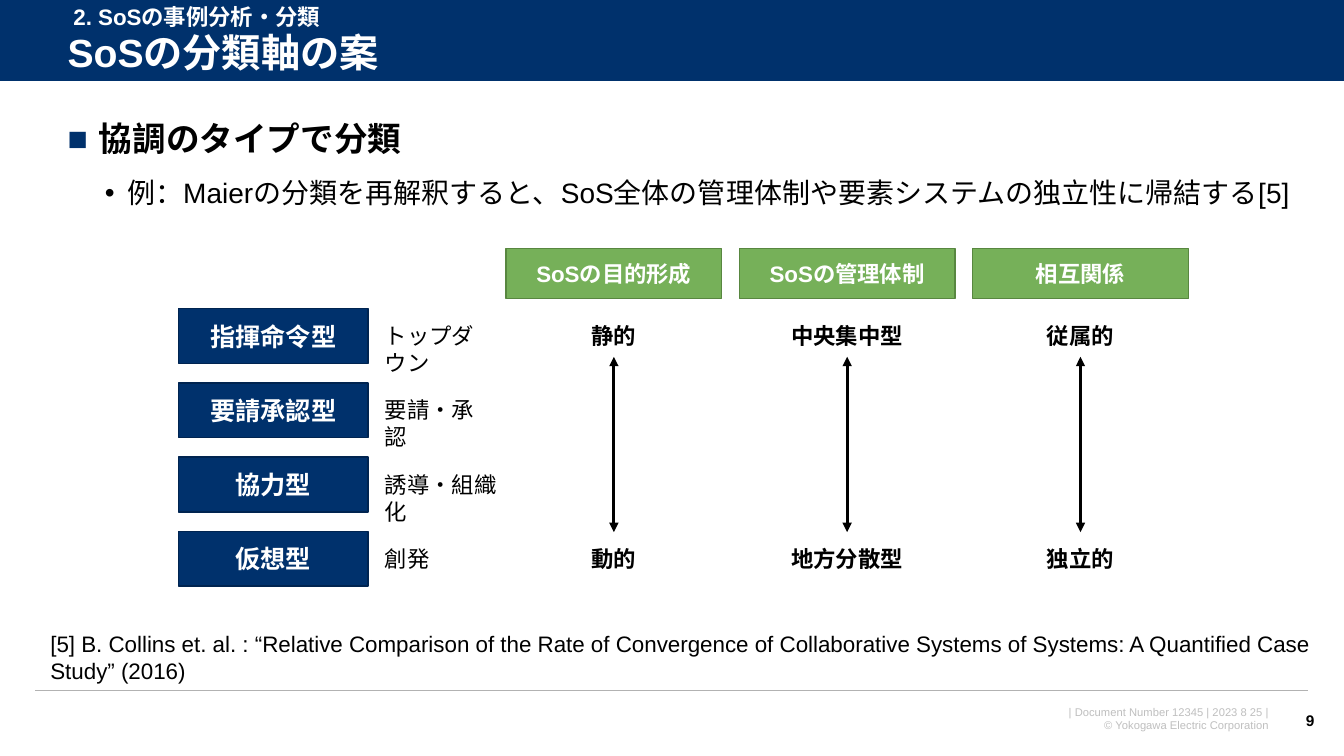
from pptx import Presentation
from pptx import util as u
from pptx.dml.color import RGBColor
from pptx.enum import shapes, text
from pptx.oxml import ns
from lxml import etree

Cm = u.Cm
NAVY, GREEN, BLACK, WHITE = "00316C", "76B059", "000000", "FFFFFF"
LEFT, MID, RIGHT = text.PP_ALIGN.LEFT, text.PP_ALIGN.CENTER, text.PP_ALIGN.RIGHT


def tint(hue):
    return RGBColor.from_string(hue)


def add(node, tag, **attrs):
    return etree.SubElement(node, ns.qn(tag), attrs)


def style(para, size, hue, bold, align=LEFT):
    para.alignment = align
    for run in para.runs:
        font = run.font
        font.name, font.size, font.bold = "Arial", u.Pt(size), bold
        font.color.rgb = tint(hue)


def place(shape, box):
    shape.left, shape.top, shape.width, shape.height = map(Cm, box)


def fill(frame, words, size, hue, bold, align, anchor):
    frame.text = words
    frame.word_wrap = True
    frame.auto_size = text.MSO_AUTO_SIZE.NONE
    frame.vertical_anchor = anchor
    for para in frame.paragraphs:
        style(para, size, hue, bold, align)


def label(slide, box, words, size=16, hue=BLACK, bold=False, align=LEFT,
          anchor=text.MSO_ANCHOR.TOP):
    item = slide.shapes.add_textbox(*map(Cm, box))
    fill(item.text_frame, words, size, hue, bold, align, anchor)
    return item


def block(slide, box, hue, edge=None, words="", size=16):
    item = slide.shapes.add_shape(shapes.MSO_SHAPE.RECTANGLE, *map(Cm, box))
    item.shadow.inherit = False
    item.fill.solid()
    item.fill.fore_color.rgb = tint(hue)
    if edge:
        item.line.color.rgb = tint(edge)
        item.line.width = u.Pt(1)
    else:
        item.line.fill.background()
    if words:
        fill(item.text_frame, words, size, WHITE, True, MID, text.MSO_ANCHOR.MIDDLE)
    return item


def rule(slide, ends, hue, width, arrow=False):
    item = slide.shapes.add_connector(shapes.MSO_CONNECTOR.STRAIGHT, *map(Cm, ends))
    item.line.color.rgb = tint(hue)
    item.line.width = u.Pt(width)
    if arrow:
        line = item.line._get_or_add_ln()
        add(line, "a:headEnd", type="triangle")
        add(line, "a:tailEnd", type="triangle")
    add(item._element.spPr, "a:effectLst")


def header(slide, box):
    left, top, width, height = box
    title = slide.shapes.title
    bar = block(slide, box, NAVY)
    title._element.addprevious(bar._element)
    rule(slide, (left, top + height, left + width, top + height), WHITE, 0.75)
    place(title, (left + 1.45, top + 0.66, 31.67, 1.45))
    fill(title.text_frame, "SoSの分類軸の案", 28, WHITE, True, LEFT, text.MSO_ANCHOR.MIDDLE)
    title.text_frame.paragraphs[0].line_spacing = 0.9
    label(slide, (left + 1.6, top - 0.05, 10.24, 0.94), "2. SoSの事例分析・分類",
          hue=WHITE, bold=True)


def bullet(para, mark, hue, indent, hang):
    props = para._p.get_or_add_pPr()
    props.set("marL", str(Cm(indent)))
    props.set("indent", str(-Cm(hang)))
    add(add(props, "a:buClr"), "a:srgbClr", val=hue)
    add(props, "a:buFont", typeface="Arial")
    add(props, "a:buChar", char=mark)


def points(slide, box):
    body = slide.placeholders[1]
    place(body, box)
    frame = body.text_frame
    fill(frame, "協調のタイプで分類\n"
         "例：Maierの分類を再解釈すると、SoS全体の管理体制や要素システムの独立性に帰結する[5]",
         24, BLACK, True, LEFT, text.MSO_ANCHOR.TOP)
    head, sub = frame.paragraphs
    sub.level = 1
    head.line_spacing, head.space_before = 0.9, u.Pt(0)
    sub.line_spacing, sub.space_before = 1.0, u.Pt(12)
    bullet(head, "■", NAVY, 0.79, 0.79)
    bullet(sub, "•", BLACK, 1.5, 0.56)
    style(sub, 20, BLACK, False)


def types(slide, box):
    left, top, width, height = box
    rows = [("指揮命令型", "トップダウン", 2.97), ("要請承認型", "要請・承認", 3.3),
            ("協力型", "誘導・組織化", 3.86), ("仮想型", "創発", 2.97)]
    tall = 1.38
    step = (height - tall) / (len(rows) - 1)
    for i, (name, note, wide) in enumerate(rows):
        y = top + i * step
        block(slide, (left, y, width, tall), NAVY, "002450", name, 18)
        label(slide, (left + width + 0.17, y + 0.22, wide, 0.94), note)


def axes(slide, box):
    left, top, width, height = box
    cols = [("SoSの目的形成", "静的", "動的"), ("SoSの管理体制", "中央集中型", "地方分散型"),
            ("相互関係", "従属的", "独立的")]
    wide = 5.44
    step = (width - wide) / (len(cols) - 1)
    for i, (name, first, last) in enumerate(cols):
        x = left + i * step
        mid = x + wide / 2
        block(slide, (x, top, wide, 1.25), GREEN, "588740", name)
        for y, words in ((top + 1.73, first), (top + height - 0.94, last)):
            label(slide, (x, y, wide, 0.94), words, bold=True, align=MID)
        rule(slide, (mid, top + 2.72, mid, top + height - 1.14), BLACK, 2.25, True)


def footer(slide, box):
    left, top, width, height = box
    label(slide, (left + 0.13, top, 32.41, 1.63),
          "[5] B. Collins et. al. : “Relative Comparison of the Rate of Convergence of "
          "Collaborative Systems of Systems: A Quantified Case Study” (2016)")
    rule(slide, (left, top + 1.65, left + width, top + 1.65), "B2B2B2", 1)
    label(slide, (left + 23.19, top + 1.9, 8.15, 0.94),
          "| Document Number 12345 | 2023 8 25 |\n© Yokogawa Electric Corporation",
          8, "BFBFBF", align=RIGHT)
    page = label(slide, (left + 31.37, top + 1.9, 1.12, 1.02), "9", 11, bold=True,
                 align=RIGHT, anchor=text.MSO_ANCHOR.MIDDLE)
    page.text_frame.word_wrap = False


def main():
    deck = Presentation()
    deck.slide_width, deck.slide_height = Cm(33.87), Cm(19.05)
    slide = deck.slides.add_slide(deck.slide_layouts[1])
    header(slide, (0, 0, 33.87, 2.05))
    points(slide, (1.45, 2.97, 32.23, 2.6))
    types(slide, (4.5, 7.78, 4.78, 6.99))
    axes(slide, (12.75, 6.27, 17.2, 8.28))
    footer(slide, (0.89, 15.75, 32.08, 2.92))
    deck.save("out.pptx")


if __name__ == "__main__":
    main()
